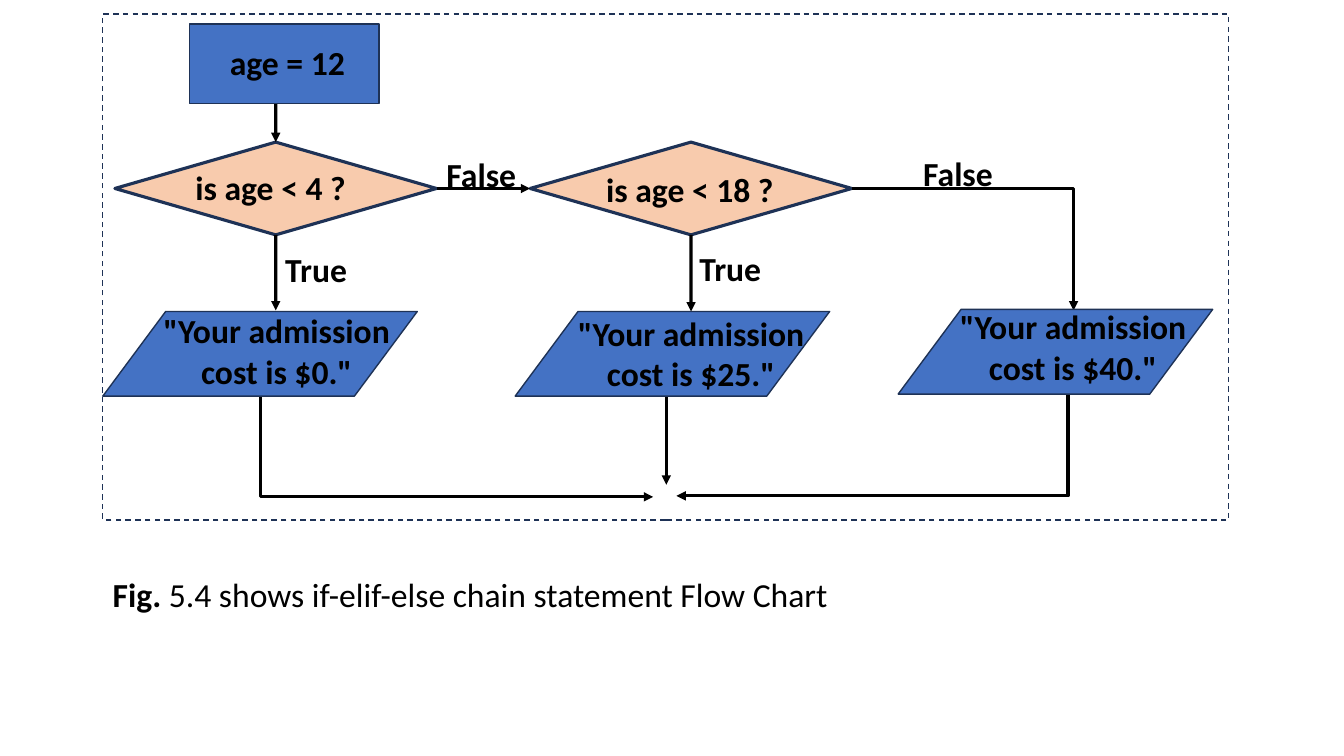
from dataclasses import dataclass
from typing import Optional

from lxml import etree
from pptx import Presentation
from pptx import util as u
from pptx.dml.color import RGBColor
from pptx.enum import dml, shapes, text
from pptx.oxml.ns import qn

BLACK = RGBColor(0x00, 0x00, 0x00)
NAVY = RGBColor(0x1E, 0x32, 0x56)
BLUE = RGBColor(0x44, 0x72, 0xC4)
PEACH = RGBColor(0xF8, 0xCB, 0xAD)

SHAPE = shapes.MSO_SHAPE
TOP, LEFT, BOTTOM, RIGHT = range(4)

prs = Presentation()
prs.slide_width, prs.slide_height = u.Inches(13.33), u.Inches(7.5)
s = prs.slides.add_slide(prs.slide_layouts[6])


def col(n: float) -> int:
    """Length of n columns; the slide is 100 columns wide."""
    return round(prs.slide_width * n / 100)


def row(n: float) -> int:
    """Length of n rows; the slide is 100 rows high."""
    return round(prs.slide_height * n / 100)


@dataclass
class Node:
    kind: int
    x: float
    y: float
    w: float
    h: float
    fill: Optional[RGBColor] = None
    weight: float = 1


@dataclass
class Label:
    words: str
    x: float
    y: float
    w: float
    h: float = 6.67
    align: Optional[int] = text.PP_ALIGN.CENTER


@dataclass
class Arrow:
    x1: float
    y1: float
    x2: float
    y2: float
    bend: Optional[str] = None
    start: Optional[tuple] = None
    end: Optional[tuple] = None


def draw_node(n: Node):
    sp = s.shapes.add_shape(n.kind, col(n.x), row(n.y), col(n.w), row(n.h))
    sp.shadow.inherit = False
    if n.fill is None:
        sp.fill.background()
    else:
        sp.fill.solid()
        sp.fill.fore_color.rgb = n.fill
    sp.line.color.rgb = NAVY
    sp.line.width = u.Pt(n.weight)
    return sp


def draw_arrow(a: Arrow) -> None:
    kind = shapes.MSO_CONNECTOR.ELBOW if a.bend else shapes.MSO_CONNECTOR.STRAIGHT
    c = s.shapes.add_connector(kind, col(a.x1), row(a.y1), col(a.x2), row(a.y2))
    if a.start:
        c.begin_connect(*a.start)
    if a.end:
        c.end_connect(*a.end)
    c.line.color.rgb = BLACK
    c.line.width = u.Pt(2.25)
    pr = c._element.spPr
    etree.SubElement(pr.find(qn("a:ln")), qn("a:tailEnd"), type="triangle")
    etree.SubElement(pr, qn("a:effectLst"))
    if a.bend:
        geom = pr.find(qn("a:prstGeom"))
        geom.set("prst", a.bend)
        if a.bend == "bentConnector3":  # turn right at the start
            etree.SubElement(geom.find(qn("a:avLst")), qn("a:gd"),
                             name="adj1", fmla="val 100")


def add_text(x: float, y: float, w: float, h: float, *runs: tuple,
             align: Optional[int] = None) -> None:
    """Add a text box; each run is a pair of wording and boldness."""
    tb = s.shapes.add_textbox(col(x), row(y), col(w), row(h))
    tf = tb.text_frame
    tf.word_wrap = True
    tf.auto_size = text.MSO_AUTO_SIZE.SHAPE_TO_FIT_TEXT
    p = tf.paragraphs[0]
    p.alignment = align
    for words, bold in runs:
        r = p.add_run()
        r.text = words
        r.font.name, r.font.size, r.font.bold = "Calibri", u.Pt(24), bold
        r.font.color.rgb = BLACK


add_text(7.65, 75.2, 70.2, 6.67, ("Fig.", True),
         (" 5.4 shows if-elif-else chain statement Flow Chart", False))

frame = draw_node(Node(SHAPE.RECTANGLE, 7.65, 1.87, 83.78, 66.93))
frame.line.dash_style = dml.MSO_LINE.DASH

child, minor = [draw_node(Node(SHAPE.DIAMOND, x, 18.8, 23.93, 12.27, PEACH, 2.25))
                for x in (8.55, 39.45)]

ARROWS = [
    Arrow(20.52, 9.47, 20.52, 18.8, end=(child, TOP)),
    Arrow(20.52, 31.2, 20.52, 41.07, start=(child, BOTTOM)),
    Arrow(51.42, 31.2, 51.42, 41.2, start=(minor, BOTTOM)),
    Arrow(32.48, 24.93, 39.45, 24.93, start=(child, RIGHT), end=(minor, LEFT)),
    Arrow(63.38, 24.93, 79.88, 41.07, "bentConnector2"),
    Arrow(19.35, 52.27, 48.6, 65.73, "bentConnector3"),
    Arrow(79.5, 52.13, 50.33, 65.6, "bentConnector3"),
    Arrow(49.58, 52.13, 49.58, 64.13),
]
for arrow in ARROWS:
    draw_arrow(arrow)

draw_node(Node(SHAPE.RECTANGLE, 14.1, 3.2, 14.1, 10.53, BLUE))
for x, y in ((7.65, 41.2), (38.33, 41.2), (66.83, 40.93)):
    draw_node(Node(SHAPE.FLOWCHART_DATA, x, y, 23.4, 11.2, BLUE))

LABELS = [
    Label("age = 12", 16.13, 4.93, 10.5),
    Label("is age < 4 ?", 9.75, 21.47, 20.78),
    Label("is age < 18 ?", 40.95, 21.73, 20.78),
    Label("False", 32.48, 19.73, 6.83, align=None),
    Label("False", 67.95, 19.6, 6.83, align=None),
    Label("True", 20.48, 32.27, 6.83, align=None),
    Label("True", 51.3, 32.13, 6.83, align=None),
    Label('"Your admission cost is $0."', 10.2, 40.4, 20.78, 12.13),
    Label('"Your admission cost is $25."', 41.03, 40.67, 20.78, 12.13),
    Label('"Your admission cost is $40."', 69.45, 39.87, 20.78, 12.13),
]
for label in LABELS:
    add_text(label.x, label.y, label.w, label.h, (label.words, True),
             align=label.align)

prs.save("out.pptx")
